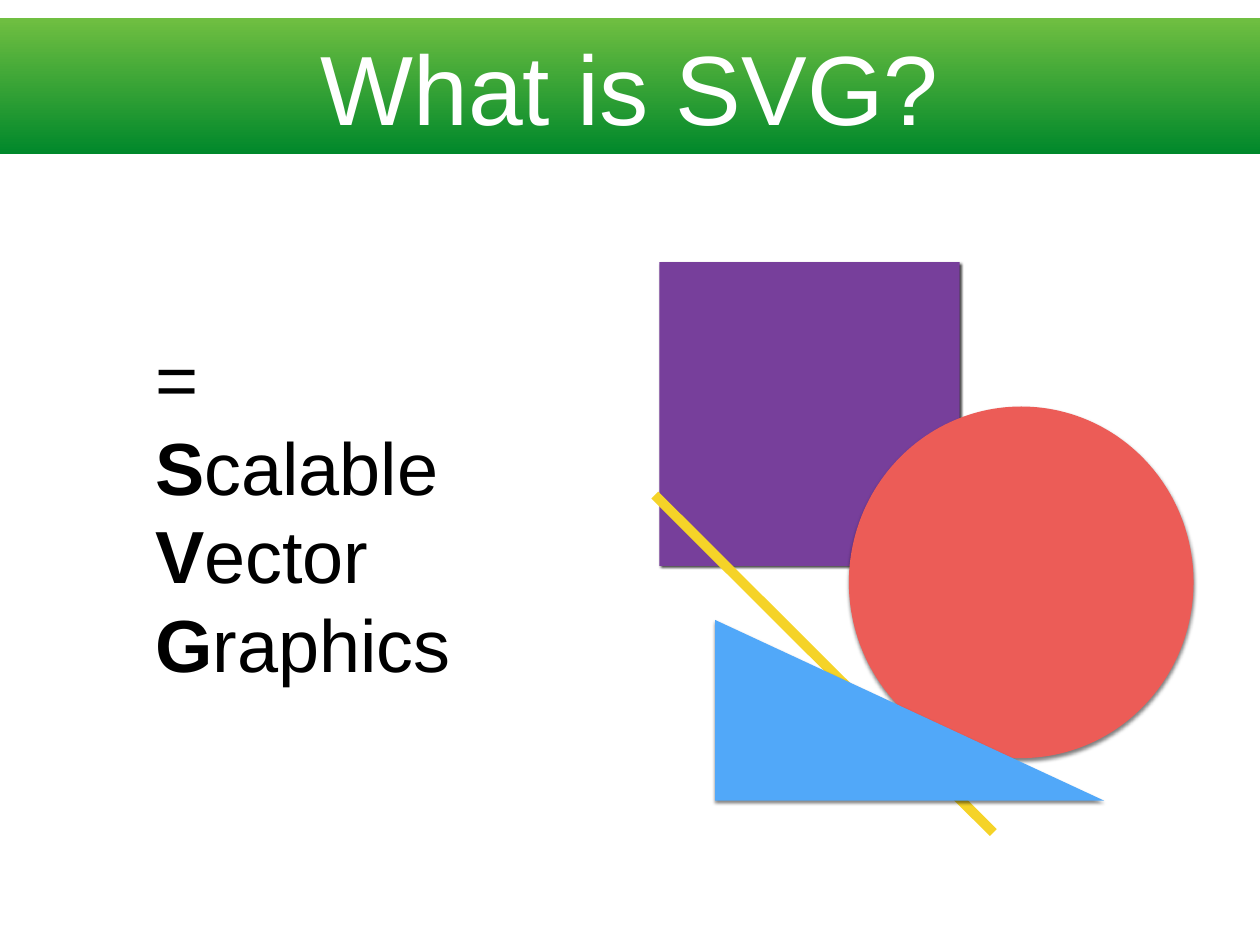
from lxml.etree import SubElement
from pptx import Presentation
from pptx.dml.color import RGBColor
from pptx.enum.shapes import MSO_CONNECTOR, MSO_SHAPE
from pptx.enum.text import MSO_ANCHOR, MSO_AUTO_SIZE, PP_ALIGN
from pptx.oxml.ns import qn
from pptx.util import Inches, Pt

# Content
SLIDE_SIZE = (14.22, 10.67)
TITLE = "What is SVG?"
TITLE_BOX = (0, 0.2, 14.22, 1.54)
TITLE_GRADIENT = ("70BF41", "00882B")
MEANING_BOX = (1.69, 3.7, 4.01, 4.49)
MEANING = [
    [("=", False)],
    [("S", True), ("calable ", False), ("V", True), ("ector ", False),
     ("G", True), ("raphics", False)],
]

# Shadow: opacity %, blur pt, distance pt, angle in degrees
SQUARE_SHADOW = (79, 2, 2, 40)
SOFT_SHADOW = (50, 3, 2, 90)
SQUARE = (MSO_SHAPE.RECTANGLE, (7.44, 2.96, 3.39, 3.43), "773F9B", SQUARE_SHADOW)
CIRCLE = (MSO_SHAPE.OVAL, (9.58, 4.59, 3.89, 3.97), "EC5C57", SOFT_SHADOW)
TRIANGLE = (MSO_SHAPE.RIGHT_TRIANGLE, (8.07, 7, 4.39, 2.04), "51A8F9", SOFT_SHADOW)
DIAGONAL = ((7.39, 5.59, 11.21, 9.4), "F5D328", 8)


def color(value):
    return RGBColor.from_string(value)


def lengths(values):
    return [Inches(value) for value in values]


def format_frame(frame, anchor):
    settings = {"word_wrap": True, "auto_size": MSO_AUTO_SIZE.NONE,
                "vertical_anchor": anchor}
    for side in ("left", "top", "right", "bottom"):
        settings[f"margin_{side}"] = Inches(0.06)
    for name, value in settings.items():
        setattr(frame, name, value)


def add_run(paragraph, text, size, hex_color, bold=False):
    run = paragraph.add_run()
    run.text = text
    for name, value in {"name": "Arial", "size": Pt(size), "bold": bold}.items():
        setattr(run.font, name, value)
    run.font.color.rgb = color(hex_color)


def add_figure(slide, preset, box, fill, shadow):
    shape = slide.shapes.add_shape(preset, *lengths(box))
    shape.fill.solid()
    shape.fill.fore_color.rgb = color(fill)
    shape.line.fill.background()
    shape.shadow.inherit = False
    opacity, blur, distance, angle = shadow
    effects = shape._element.spPr.find(qn("a:effectLst"))
    outer = SubElement(effects, qn("a:outerShdw"), blurRad=str(Pt(blur)),
                       dist=str(Pt(distance)), dir=str(angle * 60000),
                       rotWithShape="0")
    shade = SubElement(outer, qn("a:srgbClr"), val="000000")
    SubElement(shade, qn("a:alpha"), val=str(opacity * 1000))


def add_diagonal(slide, ends, hex_color, width):
    line = slide.shapes.add_connector(MSO_CONNECTOR.STRAIGHT, *lengths(ends))
    line.line.color.rgb = color(hex_color)
    line.line.width = Pt(width)
    SubElement(line._element.spPr, qn("a:effectLst"))


def main():
    presentation = Presentation()
    presentation.slide_width, presentation.slide_height = lengths(SLIDE_SIZE)
    slide = presentation.slides.add_slide(presentation.slide_layouts[5])

    # Title band
    title = slide.shapes.title
    title.left, title.top, title.width, title.height = lengths(TITLE_BOX)
    title.fill.gradient()
    title.fill.gradient_angle = 270
    for stop, hex_color in zip(title.fill.gradient_stops, TITLE_GRADIENT):
        stop.color.rgb = color(hex_color)
    format_frame(title.text_frame, MSO_ANCHOR.MIDDLE)
    heading = title.text_frame.paragraphs[0]
    heading.alignment = PP_ALIGN.CENTER
    add_run(heading, TITLE, 80, "FFFFFF")

    # Meaning of the letters
    frame = slide.shapes.add_textbox(*lengths(MEANING_BOX)).text_frame
    format_frame(frame, MSO_ANCHOR.TOP)
    for index, runs in enumerate(MEANING):
        paragraph = frame.add_paragraph() if index else frame.paragraphs[0]
        paragraph.line_spacing = Pt(72)
        for text, bold in runs:
            add_run(paragraph, text, 60, "000000", bold)

    # Drawing, from back to front
    add_figure(slide, *SQUARE)
    add_figure(slide, *CIRCLE)
    add_diagonal(slide, *DIAGONAL)
    add_figure(slide, *TRIANGLE)

    presentation.save("out.pptx")


if __name__ == "__main__":
    main()
